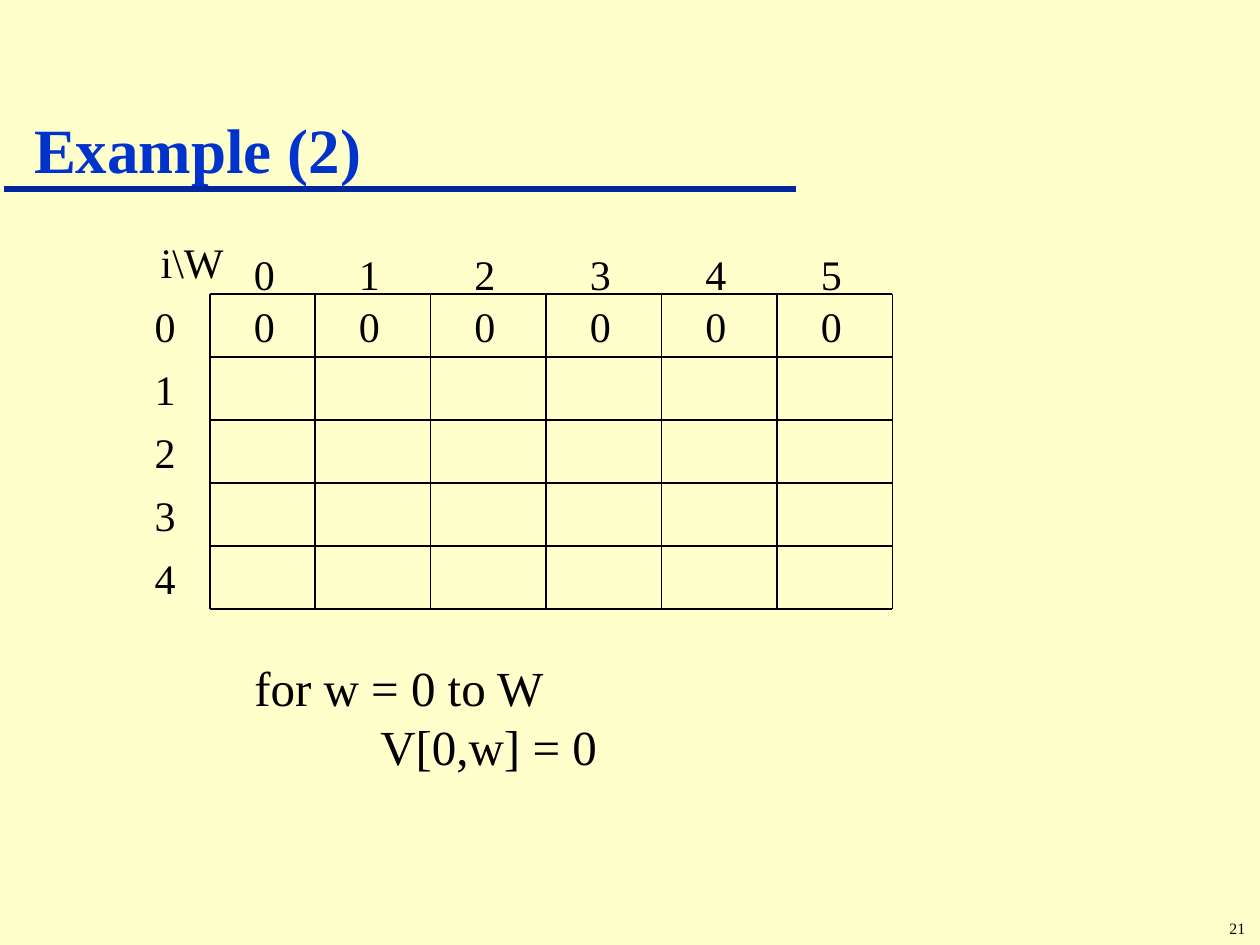
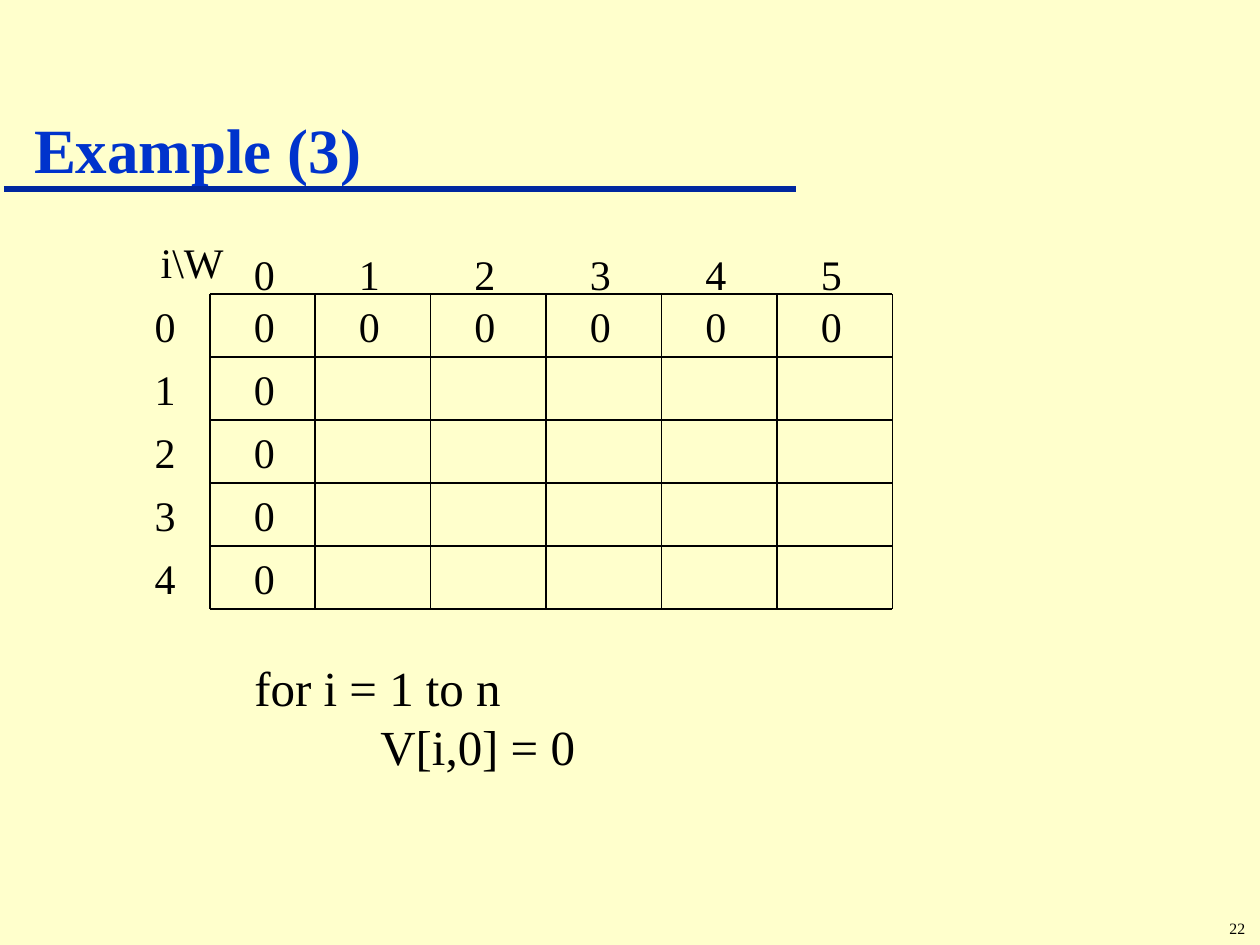
from lxml import etree
from pptx import Presentation
from pptx.dml.color import RGBColor
from pptx.enum.shapes import MSO_CONNECTOR
from pptx.enum.text import MSO_ANCHOR, MSO_AUTO_SIZE, PP_ALIGN
from pptx.oxml import parse_xml
from pptx.oxml.ns import nsdecls, qn
from pptx.util import Inches, Pt

STRAIGHT = MSO_CONNECTOR.STRAIGHT
BOTTOM = MSO_ANCHOR.BOTTOM
NO_FIT, GROW = MSO_AUTO_SIZE.NONE, MSO_AUTO_SIZE.SHAPE_TO_FIT_TEXT
LEFT, CENTER = PP_ALIGN.LEFT, PP_ALIGN.CENTER

FONT = "Times New Roman"
COLORS = {"background": "FFFFCC", "title": "0033CC", "rule": "00279F", "text": "000000"}
FIRST_NUMBER = 21
TITLE_ONLY = 5

ROWS, COLS = 5, 6
GRID_X, GRID_Y = 5 / 3, 7 / 3
ROW_H = 0.5
COL_WIDTHS = [5 / 6] + [11 / 12] * (COLS - 1)
COL_XS = [GRID_X + sum(COL_WIDTHS[:c]) for c in range(COLS + 1)]
ROW_YS = [GRID_Y + r * ROW_H for r in range(ROWS + 1)]
DIGIT_INDENT = 0.25


def rgb(name):
    return RGBColor.from_string(COLORS[name])


class Deck:
    """Holds the shared style and the slide being filled."""

    def __init__(self):
        self.prs = Presentation()
        self.prs.slide_width, self.prs.slide_height = Inches(10), Inches(7.5)
        self.prs.element.set("firstSlideNum", str(FIRST_NUMBER))
        self.s = None
        fill = self.prs.slide_master.background.fill
        fill.solid()
        fill.fore_color.rgb = rgb("background")

    def new_slide(self, title):
        self.s = self.prs.slides.add_slide(self.prs.slide_layouts[TITLE_ONLY])
        self.line(0.03, 1.5, 6.32, 1.5, "rule", 4)
        self.page_number()
        self.title(title)

    def style(self, font, size, color="text", bold=False):
        font.name, font.size, font.bold = FONT, Pt(size), bold
        font.color.rgb = rgb(color)

    def title(self, text):
        sp = self.s.shapes.title
        sp.left, sp.top, sp.width, sp.height = map(Inches, (0.17, 0.32, 6.5, 1.21))
        tf = sp.text_frame
        tf.auto_size, tf.vertical_anchor = NO_FIT, BOTTOM
        p = tf.paragraphs[0]
        p.alignment = LEFT
        r = p.add_run()
        r.text = text
        self.style(r.font, 36, "title", True)

    def line(self, x1, y1, x2, y2, color="text", width=0.75):
        sp = self.s.shapes.add_connector(
            STRAIGHT, Inches(x1), Inches(y1), Inches(x2), Inches(y2))
        sp.line.color.rgb = rgb(color)
        sp.line.width = Pt(width)
        etree.SubElement(sp.element.spPr, qn("a:effectLst"))

    def text(self, lines, x, y, w, h, size=24, wrap=False, align=LEFT):
        sp = self.s.shapes.add_textbox(Inches(x), Inches(y), Inches(w), Inches(h))
        tf = sp.text_frame
        tf.word_wrap, tf.auto_size = wrap, GROW
        for i, line in enumerate(lines):
            p = tf.add_paragraph() if i else tf.paragraphs[0]
            p.alignment = align
            r = p.add_run()
            r.text = line
            self.style(r.font, size)
        return sp

    def digit(self, value, x, y):
        self.text([str(value)], x, y, 0.37, 0.5)

    def code(self, lines):
        """Write pseudocode whose tabs stop at one inch."""
        sp = self.text(lines, 1.92, 5.17, 3.75, 1.03, size=28, wrap=True)
        for p in sp.text_frame.paragraphs:
            p._p.get_or_add_pPr().append(parse_xml(
                f'<a:tabLst {nsdecls("a")}><a:tab pos="{Inches(1)}" algn="l"/></a:tabLst>'))

    def page_number(self):
        """Turn a small text box into a live slide number field."""
        number = str(FIRST_NUMBER + len(self.prs.slides) - 1)
        sp = self.text([number], 9.66, 7.24, 0.34, 0.25, size=9)
        run = sp.text_frame.paragraphs[0].runs[0]._r
        field = parse_xml(
            f'<a:fld {nsdecls("a")} id="{{B6F15528-21DE-4FAA-801E-634DDDAF4B2B}}"'
            ' type="slidenum"/>')
        run.addprevious(field)
        field.extend(list(run))
        run.getparent().remove(run)

    def grid(self):
        for x in COL_XS:
            self.line(x, ROW_YS[0], x, ROW_YS[-1])
        for y in ROW_YS:
            self.line(COL_XS[0], y, COL_XS[-1], y)

    def axis_labels(self):
        self.text(["i\\W"], 1.15, 1.83, 0.75, 0.5, wrap=True, align=CENTER)
        for w, x in enumerate(COL_XS[:-1]):
            self.digit(w, x + DIGIT_INDENT, 1.92)
        for i, y in enumerate(ROW_YS[:-1]):
            self.digit(i, 1.13, y)

    def zeros(self, cells):
        for row, col in cells:
            self.digit(0, COL_XS[col] + DIGIT_INDENT, ROW_YS[row])


def main():
    deck = Deck()
    first_row = [(0, w) for w in range(COLS)]
    rest_of_column = [(i, 0) for i in range(1, ROWS)]
    steps = [
        ("Example (2)", first_row, ["for w = 0 to W", "\tV[0,w] = 0"]),
        ("Example (3)", first_row + rest_of_column, ["for i = 1 to n", "\tV[i,0] = 0"]),
    ]
    for title, cells, code in steps:
        deck.new_slide(title)
        deck.code(code)
        deck.grid()
        deck.axis_labels()
        deck.zeros(cells)
    deck.prs.save("out.pptx")


if __name__ == "__main__":
    main()
